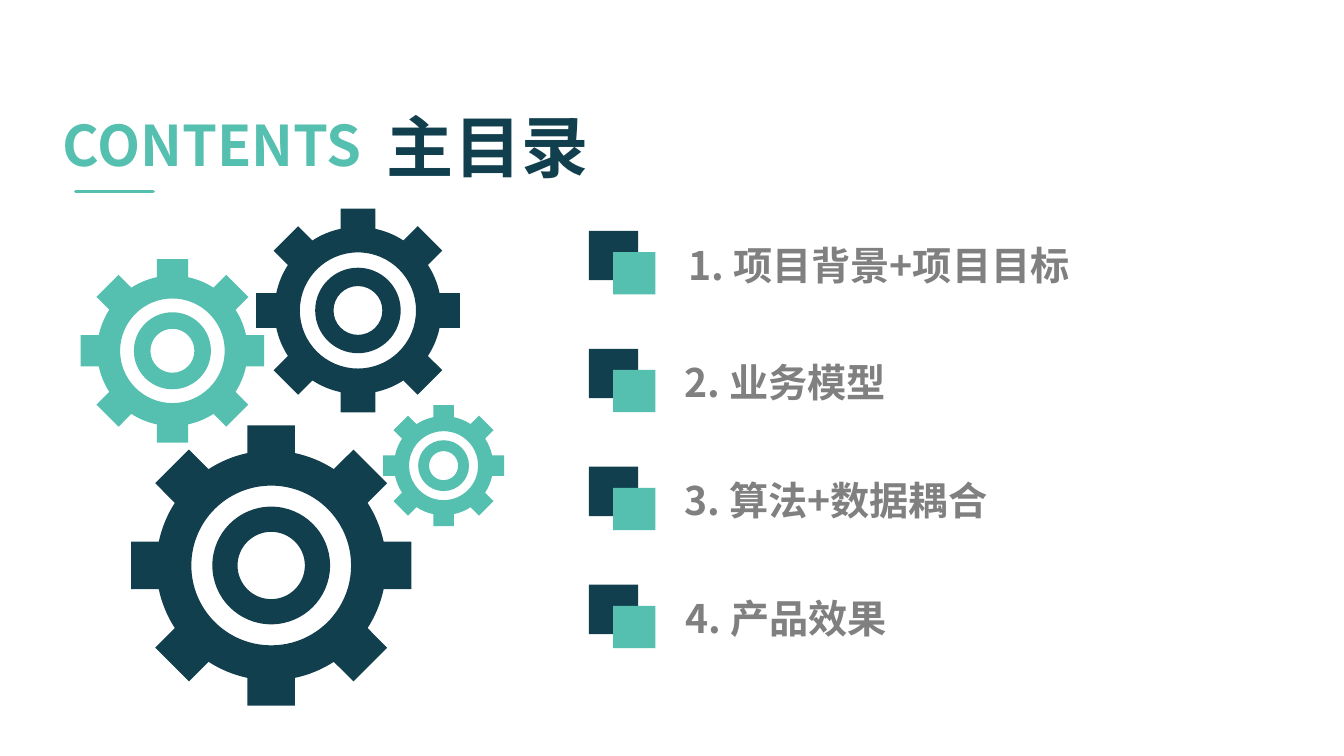
import math

import pptx
import pptx.dml.color
import pptx.enum.shapes
import pptx.enum.text
import pptx.oxml
import pptx.oxml.ns
import pptx.util

Inches = pptx.util.Inches
FONT = "Noto Sans CJK SC"
NAVY, TEAL, GREY = "113F4E", "55C0AF", "808080"
UNITS_PER_INCH = 1000
TEETH = 8
RING_RADII = (0.57, 0.42, 0.24)
GEARS = [
    (3.55, 3.08, 1.01, NAVY),
    (2.69, 5.61, 1.39, NAVY),
    (1.71, 3.48, 0.91, TEAL),
    (4.4, 4.62, 0.6, TEAL),
]
ENTRIES = [
    ("1. 项目背景+项目目标", 0.89),
    ("2. 业务模型", 0.85),
    ("3. 算法+数据耦合", 0.85),
    ("4. 产品效果", 0.86),
]


def color(hex_text):
    """Return the RGB colour for a hex string."""
    return pptx.dml.color.RGBColor.from_string(hex_text)


def paint(shape, hex_text):
    """Give a shape a flat fill with no outline or shadow."""
    shape.shadow.inherit = False
    shape.fill.solid()
    shape.fill.fore_color.rgb = color(hex_text)
    shape.line.fill.background()


def add_text(page, box, text, size, hex_text, align="LEFT", wrap=True):
    """Add one bold line of text in the given box."""
    frame = page.shapes.add_textbox(*map(Inches, box)).text_frame
    frame.word_wrap = wrap
    frame.text = text
    para = frame.paragraphs[0]
    para.alignment = getattr(pptx.enum.text.PP_ALIGN, align)
    span = para.runs[0]
    span.font.size = pptx.util.Pt(size)
    span.font.bold = True
    span.font.name = FONT
    span.font.color.rgb = color(hex_text)
    east_asian = pptx.oxml.parse_xml(
        f'<a:ea {pptx.oxml.ns.nsdecls("a")} typeface="{FONT}"/>')
    span.font._element.append(east_asian)


def add_heading(page, left, top):
    """Place the two-language heading and its short rule."""
    add_text(page, (left + 3.29, top, 2.2, 0.9), "主目录", 48, NAVY, wrap=False)
    add_text(page, (left, top + 0.05, 3.31, 0.77), "CONTENTS", 40, TEAL,
             align="CENTER", wrap=False)
    rule = page.shapes.add_connector(
        pptx.enum.shapes.MSO_CONNECTOR.STRAIGHT,
        Inches(left + 0.3), Inches(top + 0.9),
        Inches(left + 1.07), Inches(top + 0.9))
    rule.line.color.rgb = color(TEAL)
    rule.line.width = pptx.util.Pt(2.25)
    rule.line._get_or_add_ln().set("cap", "rnd")
    rule._element.spPr.append(
        pptx.oxml.parse_xml(f'<a:effectLst {pptx.oxml.ns.nsdecls("a")}/>'))


def arc(radius, start, end):
    """Return the four Bezier points of an arc about the origin."""
    handle = 4 / 3 * math.tan((end - start) / 4)
    corners = [(start, 0), (start, handle), (end, -handle), (end, 0)]
    return [(radius * (math.cos(angle) - reach * math.sin(angle)),
             radius * (math.sin(angle) + reach * math.cos(angle)))
            for angle, reach in corners]


def ring(radius):
    """Return the Bezier points of a circle in four quarters."""
    quarter = math.pi / 2
    points = [(radius, 0)]
    for turn in range(4):
        points += arc(radius, turn * quarter, (turn + 1) * quarter)[1:]
    return points


def gear_outline(body=0.82, half_tooth=0.17):
    """Return the six points per tooth of a gear of radius one."""
    points = []
    pitch = math.tau / TEETH
    root = math.asin(half_tooth / body)
    for tooth in range(TEETH):
        angle = tooth * pitch
        cos, sin = math.cos(angle), math.sin(angle)
        points += [(cos - side * sin, sin + side * cos)
                   for side in (-half_tooth, half_tooth)]
        points += arc(body, angle + root, angle + pitch - root)
    return points


def bend(shape):
    """Turn the arc segments of a gear into Bezier curves."""
    segments = list(shape._element.iter(pptx.oxml.ns.qn("a:lnTo")))
    outline_end = 6 * TEETH - 1
    starts = [*range(2, outline_end, 6), *range(outline_end, len(segments), 3)]
    for start in starts:
        curve, *others = segments[start:start + 3]
        curve.tag = pptx.oxml.ns.qn("a:cubicBezTo")
        for segment in others:
            curve.append(segment[0])
            segment.getparent().remove(segment)


def add_gear(page, center_x, center_y, radius, hex_text):
    """Draw a gear with alternating rings about its centre."""
    contours = [gear_outline()] + [ring(size) for size in RING_RADII]
    placed = [[((center_x + radius * x) * UNITS_PER_INCH,
                (center_y + radius * y) * UNITS_PER_INCH) for x, y in contour]
              for contour in contours]
    builder = page.shapes.build_freeform(
        *placed[0][0], scale=Inches(1) / UNITS_PER_INCH)
    builder.add_line_segments(placed[0][1:])
    for contour in placed[1:]:
        builder.move_to(*contour[0])
        builder.add_line_segments(contour[1:])
    gear = builder.convert_to_shape()
    bend(gear)
    paint(gear, hex_text)


def add_entry(page, left, top, text, indent):
    """Place one contents entry with its pair of squares."""
    marker = page.shapes.add_group_shape()
    for offset_x, offset_y, side, hex_text in (
            (0, 0, 0.49, NAVY), (0.24, 0.21, 0.42, TEAL)):
        square = marker.shapes.add_shape(
            pptx.enum.shapes.MSO_SHAPE.RECTANGLE,
            Inches(left + offset_x), Inches(top + offset_y),
            Inches(side), Inches(side))
        paint(square, hex_text)
    add_text(page, (left + indent, top + 0.05, 4.81, 0.57), text, 28, GREY)


def main():
    """Build the contents slide and save the deck."""
    deck = pptx.Presentation()
    deck.slide_width, deck.slide_height = Inches(13.33), Inches(7.5)
    page = deck.slides.add_slide(deck.slide_layouts[6])
    add_heading(page, 0.45, 1)
    for gear in GEARS:
        add_gear(page, *gear)
    for row, (text, indent) in enumerate(ENTRIES):
        add_entry(page, 5.84, 2.29 + 1.17 * row, text, indent)
    deck.save("out.pptx")


if __name__ == "__main__":
    main()
